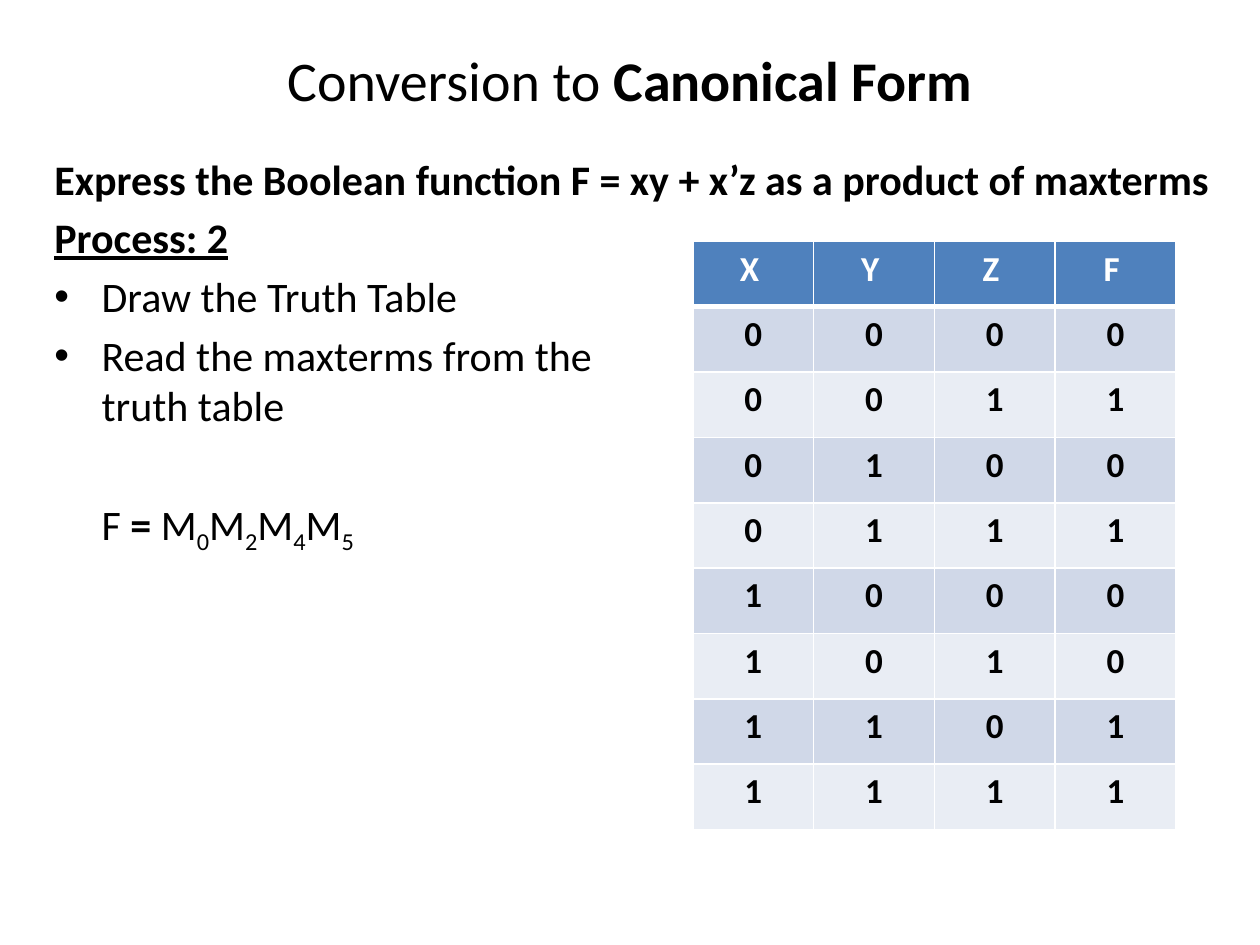
from lxml.etree import SubElement
from pptx import Presentation
from pptx.dml.color import RGBColor
from pptx.enum.text import MSO_ANCHOR, PP_ALIGN
from pptx.oxml.ns import qn
from pptx.util import Pt

BLACK = RGBColor(0x00, 0x00, 0x00)
WHITE = RGBColor(0xFF, 0xFF, 0xFF)
BLUE = RGBColor(0x4F, 0x81, 0xBD)
BANDS = (RGBColor(0xD0, 0xD8, 0xE8), RGBColor(0xE9, 0xED, 0xF4))

HEADINGS = ("X ", "Y ", "Z ", "F ")
OUTPUTS = "01010011"
MAXTERMS = "0245"


class SlideBuilder:
    font = "Calibri"
    title_size = 32
    body_size = 24
    table_size = 20
    indent = 27
    gap = 4.8

    def __init__(self, page):
        self.page = page

    def add_span(self, para, text, size=body_size, color=BLACK, bold=False,
                 underline=False, baseline=0):
        span = para.add_run()
        span.text = text
        span.font.name = self.font
        span.font.size = Pt(size)
        span.font.color.rgb = color
        span.font.bold = bold
        span.font.underline = underline
        if baseline:
            span._r.get_or_add_rPr().set("baseline", str(baseline * 1000))

    def title(self, left, top, width, height):
        box = self.page.shapes.title
        box.left, box.top, box.width, box.height = map(Pt, (left, top, width, height))
        frame = box.text_frame
        frame.word_wrap = True
        frame.vertical_anchor = MSO_ANCHOR.MIDDLE
        para = frame.paragraphs[0]
        para.alignment = PP_ALIGN.CENTER
        return para

    def text_box(self, left, top, width, height):
        box = self.page.shapes.add_textbox(Pt(left), Pt(top), Pt(width), Pt(height))
        box.text_frame.word_wrap = True
        return box.text_frame

    def paragraph(self, frame, margin=0, space_before=gap):
        para = frame.add_paragraph()
        para.space_before = Pt(space_before)
        para._p.get_or_add_pPr().set("marL", str(Pt(margin)))
        return para

    def bullet(self, frame):
        para = self.paragraph(frame, self.indent)
        properties = para._p.get_or_add_pPr()
        properties.set("indent", str(-Pt(self.indent)))
        SubElement(properties, qn("a:buFont"), typeface="Arial")
        SubElement(properties, qn("a:buChar"), char="•")
        return para

    def border(self, cell, side, width):
        line = SubElement(cell._tc.get_or_add_tcPr(), qn(f"a:ln{side}"), w=str(Pt(width)))
        fill = SubElement(line, qn("a:solidFill"))
        SubElement(fill, qn("a:srgbClr"), val=str(WHITE))

    def table(self, rows, left, top, width, height):
        """Draw rows of text with a heading row and banded rows below it."""
        table = self.page.shapes.add_table(
            len(rows), len(rows[0]), Pt(left), Pt(top), Pt(width), Pt(height)).table
        for row, values in enumerate(rows):
            for column, text in enumerate(values):
                cell = table.cell(row, column)
                for side in "LRTB":
                    under_heading = (row, side) in ((0, "B"), (1, "T"))
                    self.border(cell, side, 3 if under_heading else 1)
                cell.fill.solid()
                cell.fill.fore_color.rgb = BANDS[(row - 1) % 2] if row else BLUE
                para = cell.text_frame.paragraphs[0]
                para.alignment = PP_ALIGN.CENTER
                self.add_span(para, text, size=self.table_size, bold=True,
                              color=BLACK if row else WHITE)


def main():
    deck = Presentation()
    deck.slide_width, deck.slide_height = Pt(720), Pt(540)
    builder = SlideBuilder(deck.slides.add_slide(deck.slide_layouts[5]))

    title = builder.title(36, 0, 648, 90)
    builder.add_span(title, "Conversion to ", size=builder.title_size)
    builder.add_span(title, "Canonical Form", size=builder.title_size, bold=True)

    frame = builder.text_box(24, 84, 696, 456)
    builder.add_span(frame.paragraphs[0], bold=True,
                     text="Express the Boolean function F = xy + x’z as a product of maxterms")
    builder.add_span(builder.paragraph(frame), "Process: 2", bold=True, underline=True)
    builder.add_span(builder.bullet(frame), "Draw the Truth Table")
    reading = builder.bullet(frame)
    builder.add_span(reading, "Read the maxterms from the ")
    reading.add_line_break()
    builder.add_span(reading, "truth table")

    formula = builder.paragraph(frame, builder.indent, space_before=38.8)
    builder.add_span(formula, "F ")
    builder.add_span(formula, "= ", bold=True)
    for index in MAXTERMS:
        builder.add_span(formula, "M")
        builder.add_span(formula, index, baseline=-25)

    truth_rows = [f"{number:03b}{output}" for number, output in enumerate(OUTPUTS)]
    builder.table([HEADINGS, *truth_rows], 396, 138, 276, 336)

    deck.save("out.pptx")


if __name__ == "__main__":
    main()
